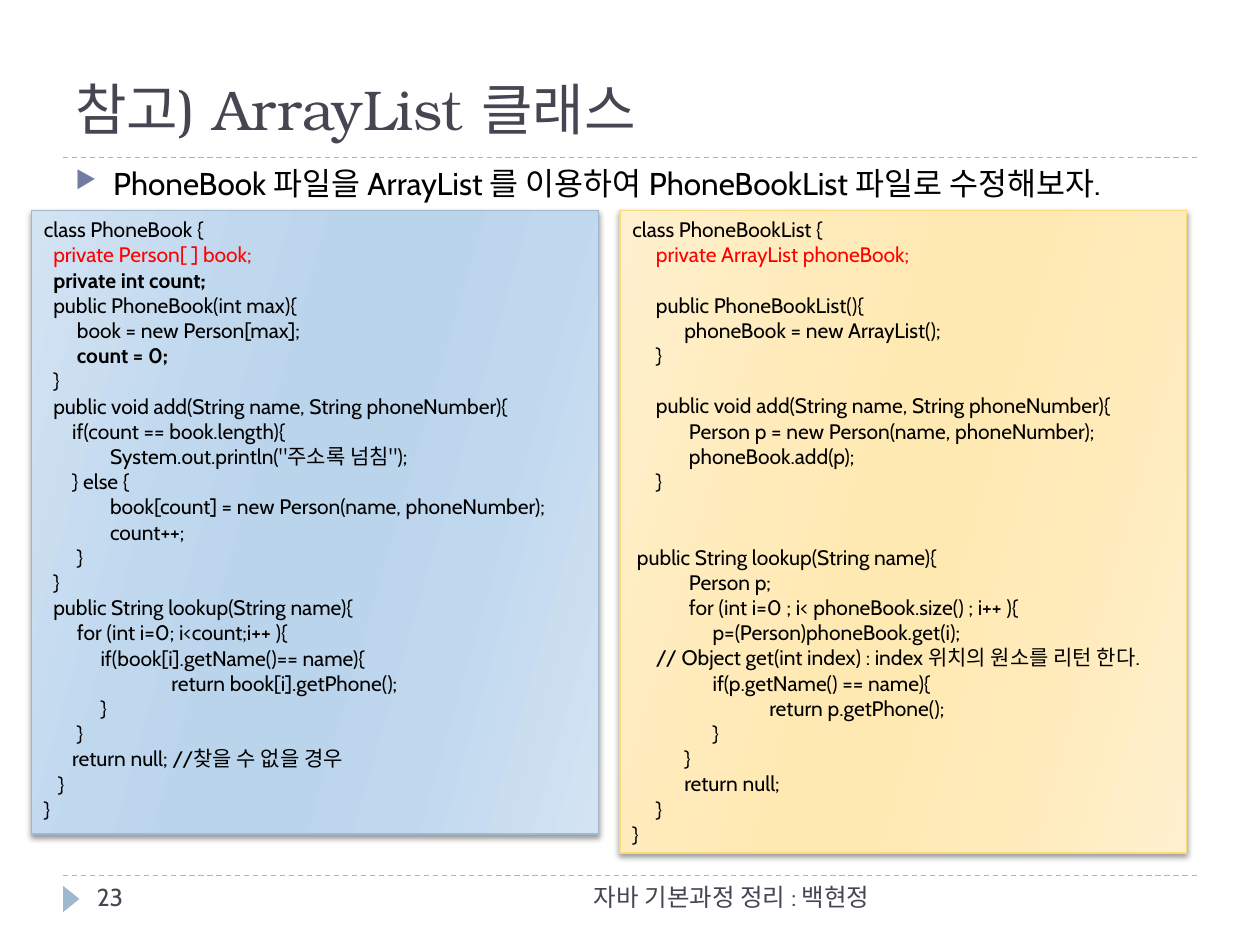
import pptx
import pptx.dml.color
import pptx.enum.dml
import pptx.enum.shapes
import pptx.enum.text
import pptx.oxml.ns
import pptx.util
from lxml import etree

Inches = pptx.util.Inches
Pt = pptx.util.Pt
RGB = pptx.dml.color.RGBColor
Align = pptx.enum.text.PP_ALIGN
Anchor = pptx.enum.text.MSO_ANCHOR
Shape = pptx.enum.shapes.MSO_SHAPE
qn = pptx.oxml.ns.qn

BLACK = RGB(0x00, 0x00, 0x00)
RED = RGB(0xFF, 0x00, 0x00)
SLATE = RGB(0x46, 0x46, 0x53)
INDIGO = RGB(0x72, 0x7C, 0xA3)
STEEL = RGB(0x9F, 0xB8, 0xCD)
GOLD = RGB(0xFA, 0xDA, 0x7A)
BLUES = [RGB(0xD3, 0xE3, 0xF2), RGB(0xC0, 0xD8, 0xEE), RGB(0xBA, 0xD4, 0xEC)]
CREAMS = [RGB(0xFF, 0xF0, 0xCF), RGB(0xFF, 0xEB, 0xBA), RGB(0xFF, 0xE9, 0xB3)]
STOPS = [0, 30, 45, 55, 73, 100]

ARRAY = [
    (0, "class PhoneBook {", {}),
    (2, "private Person[ ] book;", {"color": RED}),
    (2, "private int count;", {"bold": True}),
    (2, "public PhoneBook(int max){", {}),
    (7, "book = new Person[max];", {}),
    (7, "count = 0;", {"bold": True}),
    (2, "}", {}),
    (2, "public void add(String name, String phoneNumber){", {}),
    (6, "if(count == book.length){", {}),
    (14, 'System.out.println("주소록 넘침");', {}),
    (6, "} else {", {}),
    (14, "book[count] = new Person(name, phoneNumber);", {}),
    (14, "count++;", {}),
    (7, "}", {}),
    (2, "}", {}),
    (2, "public String lookup(String name){", {}),
    (7, "for (int i=0; i<count;i++ ){", {}),
    (12, "if(book[i].getName()== name){", {}),
    (27, "return book[i].getPhone();", {}),
    (12, "}", {}),
    (7, "}", {}),
    (6, "return null; //찾을 수 없을 경우", {}),
    (3, "}", {}),
    (0, "}", {}),
]
LIST = [
    (0, "class PhoneBookList {", {}),
    (5, "private ArrayList phoneBook;", {"color": RED}),
    (5, "public PhoneBookList(){", {"before": Inches(0.2)}),
    (11, "phoneBook = new ArrayList();", {}),
    (5, "}", {}),
    (5, "public void add(String name, String phoneNumber){", {"before": Inches(0.2)}),
    (12, "Person p = new Person(name, phoneNumber);", {}),
    (12, "phoneBook.add(p);", {}),
    (5, "}", {}),
    (1, "public String lookup(String name){", {"before": Inches(0.4)}),
    (12, "Person p;", {}),
    (12, "for (int i=0 ; i< phoneBook.size() ; i++ ){", {}),
    (17, "p=(Person)phoneBook.get(i);", {}),
    (5, "// Object get(int index) : index 위치의 원소를 리턴 한다.", {}),
    (17, "if(p.getName() == name){", {}),
    (29, "return p.getPhone();", {}),
    (17, "}", {}),
    (11, "}", {}),
    (11, "return null;", {}),
    (5, "}", {}),
    (0, "}", {}),
]


def say(frame, text, size=12, font="Cabin", color=BLACK, bold=False,
        align=Align.LEFT, before=0, left=0, hang=0):
    para = frame.paragraphs[0] if not frame.text else frame.add_paragraph()
    para.alignment = align
    para.space_before = Pt(0) + before
    props = para._p.get_or_add_pPr()
    props.set("marL", str(int(left)))
    props.set("indent", str(int(hang)))
    run = para.add_run()
    run.text = text
    run.font.size = Pt(size)
    run.font.name = font
    run.font.bold = bold
    run.font.color.rgb = color
    return para


def add_box(slide, box, anchor=Anchor.TOP):
    frame = slide.shapes.add_textbox(*map(Inches, box)).text_frame
    frame.word_wrap = True
    frame.vertical_anchor = anchor
    return frame


def add_node(parent, tag, **attrs):
    return etree.SubElement(parent, qn(tag), {k: str(v) for k, v in attrs.items()})


def add_rule(slide, left, top, width):
    ends = map(Inches, (left, top, left + width, top))
    rule = slide.shapes.add_connector(pptx.enum.shapes.MSO_CONNECTOR.STRAIGHT, *ends)
    rule.line.color.rgb = STEEL
    rule.line.width = Pt(0.75)
    rule.line.dash_style = pptx.enum.dml.MSO_LINE.DASH
    add_node(rule._element.spPr, "a:effectLst")


def add_title(slide, box):
    frame = add_box(slide, box, Anchor.BOTTOM)
    say(frame, "참고) ArrayList 클래스", size=32, font="TeX Gyre Bonum", color=SLATE)


def add_point(slide, box):
    para = say(add_box(slide, box),
               "PhoneBook 파일을 ArrayList 를 이용하여 PhoneBookList 파일로 수정해보자.",
               size=18, before=Pt(6), left=Inches(0.3), hang=Inches(-0.3))
    props = para._p.get_or_add_pPr()
    add_node(add_node(props, "a:buClr"), "a:srgbClr", val=INDIGO)
    add_node(props, "a:buSzPct", val=76000)
    add_node(props, "a:buChar", char="▶")


def add_code(slide, box, lines, tones, edge):
    panel = slide.shapes.add_shape(Shape.RECTANGLE, *map(Inches, box))
    panel.line.color.rgb = edge
    panel.line.width = Pt(0.75)
    panel.fill.gradient()
    panel.fill.gradient_angle = 344
    props = panel._element.spPr
    stops = props.find(".//" + qn("a:gsLst"))
    for stop in list(stops):
        stops.remove(stop)
    for place, tone in zip(STOPS, tones + tones[::-1]):
        add_node(add_node(stops, "a:gs", pos=place * 1000), "a:srgbClr", val=tone)
    shade = add_node(add_node(props, "a:effectLst"), "a:outerShdw",
                     blurRad=Pt(3), dist=Pt(2), dir=5400000, rotWithShape=0)
    add_node(add_node(shade, "a:srgbClr", val=BLACK), "a:alpha", val=40000)
    frame = panel.text_frame
    frame.word_wrap = True
    frame.vertical_anchor = Anchor.TOP
    for steps, text, look in lines:
        say(frame, text, left=Inches(0.3 * steps / 8), **look)


def add_footer(slide, left, top, width):
    add_rule(slide, left, top, width)
    mark = slide.shapes.add_shape(
        Shape.ISOSCELES_TRIANGLE,
        *map(Inches, (left - 0.04, top + 0.12, 0.21, 0.13)))
    mark.rotation = 90
    mark.shadow.inherit = False
    mark.fill.solid()
    mark.fill.fore_color.rgb = STEEL
    mark.line.fill.background()
    say(add_box(slide, (left + 0.17, top, 2.17, 0.4)), "23", size=14, color=SLATE)
    say(add_box(slide, (left + 2.67, top, 3.83, 0.4)), "자바 기본과정 정리 : 백현정",
        size=14, color=SLATE, align=Align.RIGHT)


def main():
    deck = pptx.Presentation()
    deck.slide_width = Inches(10)
    deck.slide_height = Inches(7.5)
    slide = deck.slides.add_slide(deck.slide_layouts[6])
    add_rule(slide, 0.5, 1.25, 9)
    add_footer(slide, 0.5, 6.95, 9)
    add_title(slide, (0.5, 0.42, 8.75, 0.75))
    add_point(slide, (0.5, 1.25, 9, 5.42))
    add_code(slide, (0.25, 1.67, 4.5, 4.95), ARRAY, BLUES, STEEL)
    add_code(slide, (4.92, 1.67, 4.5, 5.1), LIST, CREAMS, GOLD)
    deck.save("out.pptx")


if __name__ == "__main__":
    main()
